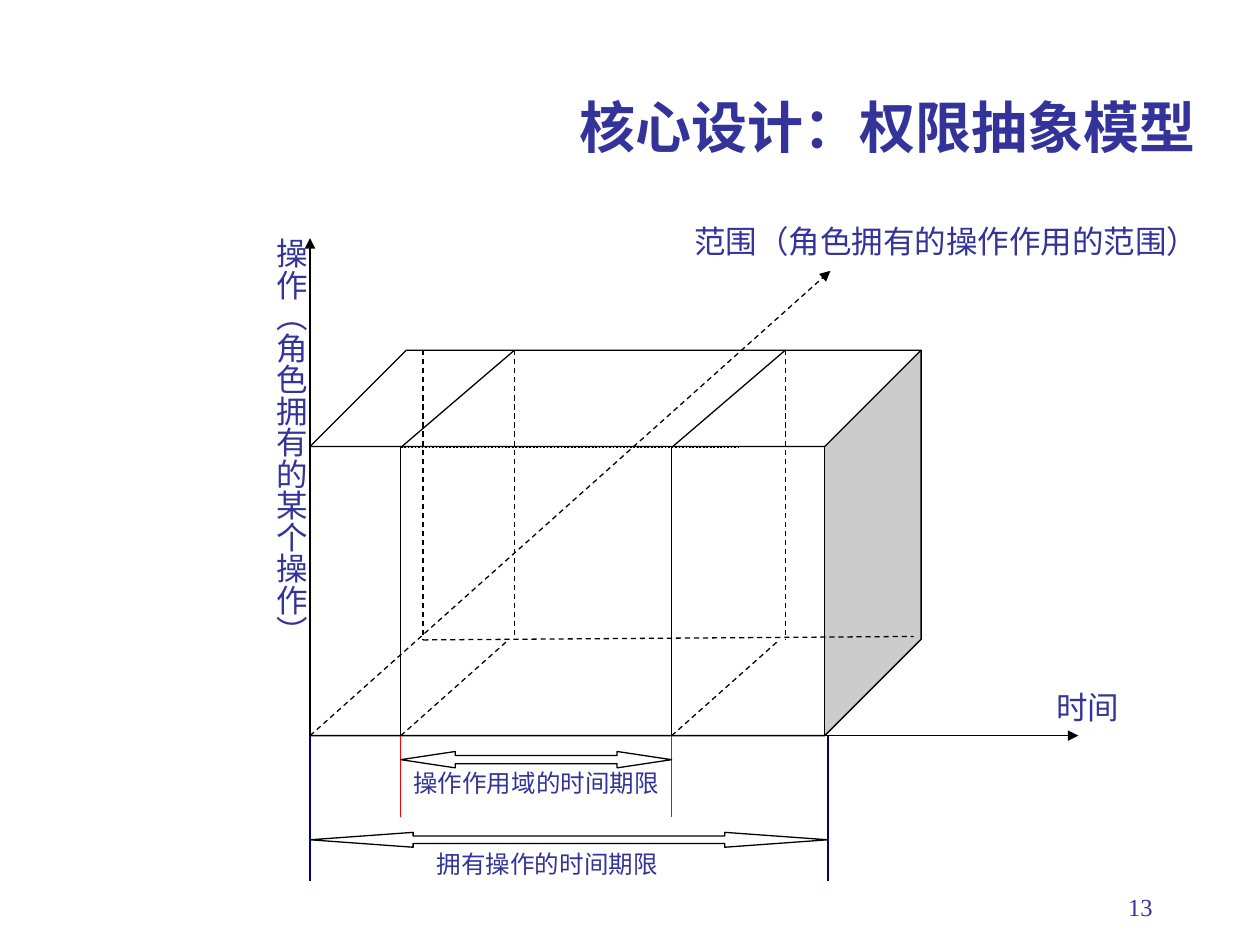
import pptx
import pptx.dml.color
import pptx.enum.dml
import pptx.enum.shapes
import pptx.enum.text
import pptx.oxml
import pptx.oxml.ns
import pptx.util

Cm = pptx.util.Cm
Pt = pptx.util.Pt
ALIGN = pptx.enum.text.PP_ALIGN
SHAPE = pptx.enum.shapes.MSO_SHAPE
DASH = pptx.enum.dml.MSO_LINE

COLORS = {"text": "333399", "line": "000000", "fill": "FFFFFF",
          "period": "000080", "scope": "FF0000"}
CJK = "Noto Sans CJK SC"
SERIF = "Times New Roman"

# Front face of the cube, the two slices through it, and its depth
LEFT, TOP, BOTTOM = 6.25, 9.02, 14.83
SLICES = (8.08, 13.54)
PERIOD_END = 16.69
BACK_TOP, BACK_BOTTOM = 7.06, 12.9
SLICE_SHIFT = 2.29


def rgb(name):
    return pptx.dml.color.RGBColor.from_string(COLORS[name])


def add_xml(parent, tag, **attrs):
    child = pptx.oxml.parse_xml(f"<{tag} {pptx.oxml.ns.nsdecls('a')}/>")
    for key, value in attrs.items():
        child.set(key, value)
    parent.append(child)


def write(sp, text, size, align, font=CJK, bold=False, before=0):
    tf = sp.text_frame
    tf.text = text
    tf.word_wrap = True
    tf.auto_size = pptx.enum.text.MSO_AUTO_SIZE.NONE
    p = tf.paragraphs[0]
    p.alignment = align
    p.space_before = Pt(before)
    r = p.runs[0]
    r.font.size = Pt(size)
    r.font.bold = bold
    r.font.name = font
    r.font.color.rgb = rgb("text")
    add_xml(r.font._element, "a:ea", typeface=CJK)


def add_title(s, text):
    sp = s.shapes.title
    sp.left, sp.top, sp.width, sp.height = Cm(1.5), Cm(0.64), Cm(22.86), Cm(3.81)
    write(sp, text, 32, ALIGN.RIGHT, SERIF, bold=True)
    sp.text_frame.vertical_anchor = pptx.enum.text.MSO_ANCHOR.MIDDLE


def add_label(s, text, box, size=18, align=ALIGN.JUSTIFY, vertical=False):
    sp = s.shapes.add_textbox(*map(Cm, box))
    write(sp, text, size, align, before=size / 4)
    tf = sp.text_frame
    tf.margin_left = tf.margin_right = tf.margin_top = tf.margin_bottom = 0
    if vertical:
        tf._txBody.bodyPr.set("vert", "eaVert")


def add_line(s, x1, y1, x2, y2, color="line", dash=None, arrow=False, width=0.75):
    sp = s.shapes.add_connector(pptx.enum.shapes.MSO_CONNECTOR.STRAIGHT,
                                *map(Cm, (x1, y1, x2, y2)))
    sp.line.color.rgb = rgb(color)
    sp.line.width = Pt(width)
    if dash:
        sp.line.dash_style = dash
    if arrow:
        add_xml(sp.line._get_or_add_ln(), "a:tailEnd", type="triangle")
    add_xml(sp._element.spPr, "a:effectLst")


def add_solid(s, kind, box, *adjustments):
    sp = s.shapes.add_shape(kind, *map(Cm, box))
    sp.shadow.inherit = False
    sp.fill.solid()
    sp.fill.fore_color.rgb = rgb("fill")
    sp.line.color.rgb = rgb("line")
    sp.line.width = Pt(0.75)
    for i, value in enumerate(adjustments):
        sp.adjustments[i] = value


def add_axes(s):
    add_line(s, LEFT, BOTTOM, 21.74, BOTTOM, arrow=True)
    add_line(s, LEFT, BOTTOM, LEFT, 4.8, arrow=True)
    add_line(s, LEFT, BOTTOM, 16.74, 5.46, dash=DASH.DASH, arrow=True)
    add_label(s, "范围（角色拥有的操作作用的范围）", (14, 4.47, 10.49, 0.97))
    add_label(s, "操作（角色拥有的某个操作）", (4.88, 4.8, 1.37, 9.7),
              align=ALIGN.CENTER, vertical=True)
    add_label(s, "时间", (21.29, 13.87, 1.83, 0.97))


def add_cube(s):
    add_solid(s, SHAPE.CUBE, (LEFT, BACK_TOP, 12.32, BOTTOM - BACK_TOP), 0.25)
    add_line(s, SLICES[0], TOP, 14.91, TOP, dash=DASH.ROUND_DOT, width=1)
    add_line(s, 8.53, BACK_TOP, 8.53, BACK_BOTTOM, dash=DASH.DASH)
    add_line(s, 8.53, BACK_BOTTOM, 18.42, 12.83, dash=DASH.DASH)
    for x in SLICES:
        back = x + SLICE_SHIFT
        add_line(s, x, BOTTOM, x, TOP)
        add_line(s, x, TOP, back, BACK_TOP)
        add_line(s, back, BACK_TOP, back, BACK_BOTTOM, dash=DASH.DASH)
        add_line(s, x, BOTTOM, back - 0.12, BACK_BOTTOM, dash=DASH.DASH)


def add_span(s, text, ends, color, tick_end, arrow, label):
    """Mark a stretch of the time axis; arrow is (top, height, head ratio)."""
    start, end = ends
    top, height, head = arrow
    for x in ends:
        add_line(s, x, tick_end, x, BOTTOM, color)
    add_solid(s, SHAPE.LEFT_RIGHT_ARROW, (start, top, end - start, height), 0.5, head)
    add_label(s, text, label, 14, ALIGN.CENTER)


def main():
    prs = pptx.Presentation()
    prs.slide_width, prs.slide_height = Cm(25.4), Cm(19.05)
    s = prs.slides.add_slide(prs.slide_layouts[5])
    add_title(s, "核心设计：权限抽象模型")
    add_cube(s)
    add_axes(s)
    add_span(s, "操作作用域的时间期限", SLICES, "scope", 16.46,
             (15.15, 0.33, 3.33), (8.08, 15.49, 5.46, 0.97))
    add_span(s, "拥有操作的时间期限", (LEFT, PERIOD_END), "period", 17.75,
             (16.78, 0.3, 6.93), (7.62, 17.12, 6.83, 0.97))
    number = s.shapes.add_textbox(Cm(18.21), Cm(17.86), Cm(5.28), Cm(1.27))
    write(number, "13", 14, ALIGN.RIGHT, SERIF)
    prs.save("out.pptx")


if __name__ == "__main__":
    main()
